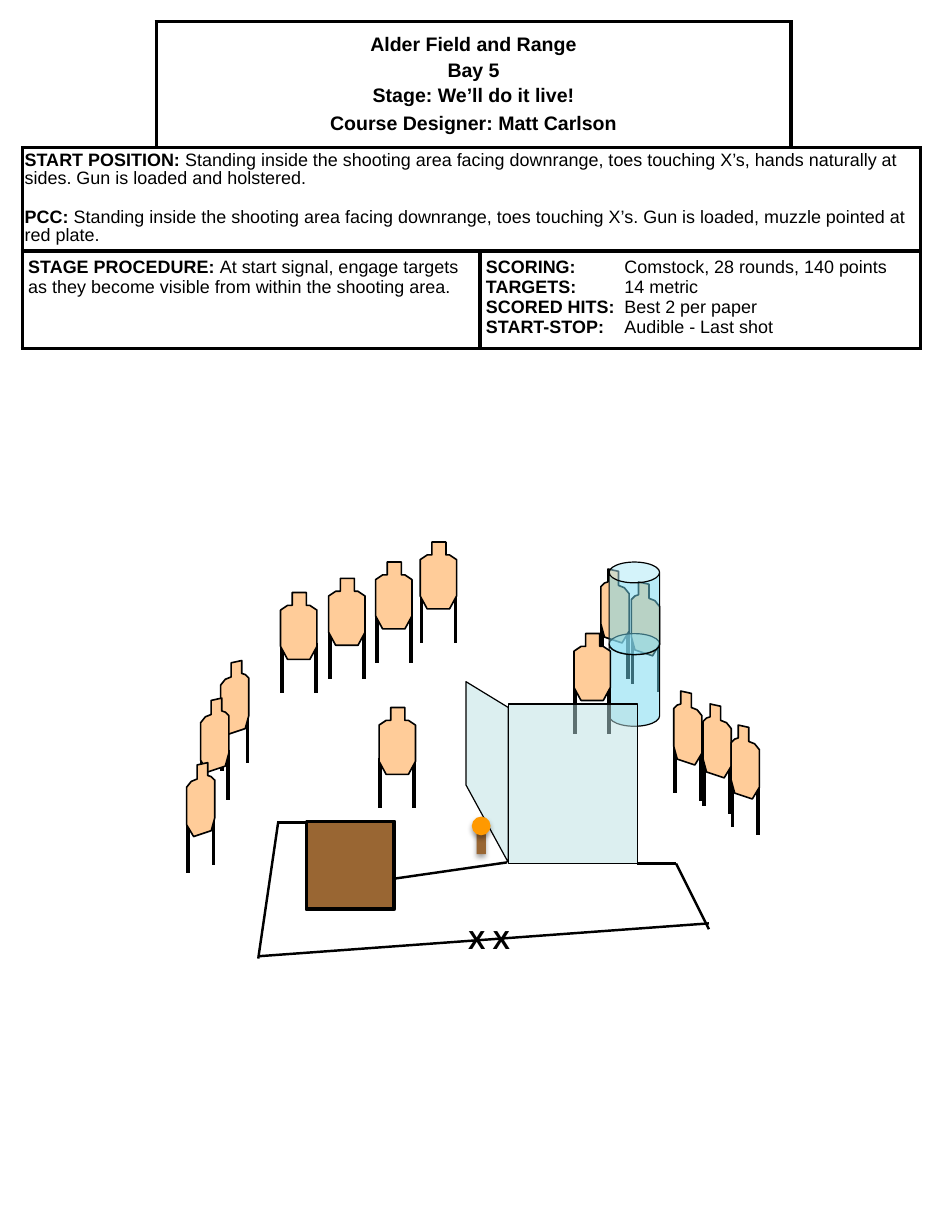
from dataclasses import dataclass

import pptx
import pptx.dml.color
import pptx.enum.shapes
import pptx.enum.text
import pptx.oxml
import pptx.oxml.ns
import pptx.util
from lxml import etree

PX = 9144  # EMU per px, 100 px to the inch
FONT = "Arial"
BLACK, WHITE, SKIN, BROWN = "000000", "FFFFFF", "FFCC99", "996633"
ORANGE, GLASS, BARREL = "FF9900", "BBE0E3", "73D9F1"
SHAPE = pptx.enum.shapes.MSO_SHAPE
qn = pptx.oxml.ns.qn

Points = list[tuple[int, int]]


@dataclass(frozen=True)
class TargetStyle:
    outline: Points
    posts: Points  # x and top of each leg


@dataclass(frozen=True)
class Target:
    x: int
    y: int
    style: TargetStyle


@dataclass(frozen=True)
class Block:
    row: int
    col: int
    span: int
    paras: list[list[tuple[str, bool]]]
    size: int = 11
    inset: tuple[int, int] = (5, 5)
    gaps: tuple[int, ...] = (0, 0, 0, 0)
    spacing: float = 1.0
    centred: bool = False
    tab: int = 0


POST_H = 43
LEFT = TargetStyle([(9, 2), (18, 0), (18, 11), (21, 12), (24, 15), (24, 47), (21, 58),
                    (6, 63), (0, 53), (0, 21), (4, 16), (9, 14)], [(1, 51), (23, 44)])
RIGHT = TargetStyle([(24 - x, y) for x, y in LEFT.outline], [(24 - x, y) for x, y in LEFT.posts])
FRONT = TargetStyle([(10, 0), (22, 0), (22, 11), (25, 11), (31, 15), (31, 46), (25, 57),
                     (6, 57), (0, 46), (0, 15), (6, 11), (10, 11)], [(1, 43), (30, 43)])

BACK_TARGETS = [Target(188, 563, LEFT), Target(171, 595, LEFT),
                Target(538, 496, RIGHT), Target(512, 485, RIGHT)]
NEAR_TARGETS = [Target(574, 589, RIGHT), Target(599, 600, RIGHT), Target(623, 618, RIGHT),
                Target(489, 540, FRONT), Target(159, 650, LEFT), Target(323, 603, FRONT),
                Target(358, 462, FRONT), Target(320, 479, FRONT), Target(239, 505, FRONT),
                Target(280, 493, FRONT)]
AREA_LINES = [(237, 701, 220, 817), (220, 815, 604, 787), (236, 701, 261, 701),
              (604, 792, 576, 736), (335, 749, 432, 735), (543, 736, 576, 736)]
COLS, ROWS = [114, 276, 265, 110], [108, 88, 83]
BLOCKS = [
    Block(0, 1, 2, [[("Alder Field and Range", True)], [("Bay 5", True)],
                    [("Stage: We’ll do it live!", True)],
                    [("Course Designer: Matt Carlson", True)]],
          size=12, gaps=(0, 2, 2, 4), centred=True),
    Block(1, 0, 4, [[("START POSITION:", True),
                     (" Standing inside the shooting area facing downrange, toes touching X’s, "
                      "hands naturally at sides. Gun is loaded and holstered.", False)],
                    [("PCC:", True),
                     (" Standing inside the shooting area facing downrange, toes touching X’s. "
                      "Gun is loaded, muzzle pointed at red plate.", False)]],
          inset=(2, 4), gaps=(0, 13), spacing=0.9),
    Block(2, 0, 2, [[("STAGE PROCEDURE: ", True),
                     ("At start signal, engage targets as they become visible "
                      "from within the shooting area.", False)]]),
    Block(2, 2, 2, [[("SCORING:", True), ("\tComstock, 28 rounds, 140 points", False)],
                    [("TARGETS:", True), ("\t14 metric", False)],
                    [("SCORED HITS:", True), ("\tBest 2 per paper", False)],
                    [("START-STOP:", True), ("\tAudible - Last shot", False)]], tab=118),
]


def rgb(color: str) -> pptx.dml.color.RGBColor:
    return pptx.dml.color.RGBColor.from_string(color)


def paint(sp, fill: str, line: float = 0, alpha: int = 100) -> None:
    sp.shadow.inherit = False
    sp.fill.solid()
    sp.fill.fore_color.rgb = rgb(fill)
    if alpha < 100:
        clr = sp._element.spPr.find(qn("a:solidFill"))[0]
        etree.SubElement(clr, qn("a:alpha"), val=str(alpha * 1000))
    if line:
        sp.line.color.rgb = rgb(BLACK)
        sp.line.width = pptx.util.Pt(line)
    else:
        sp.line.fill.background()


def add_line(shapes, x1: int, y1: int, x2: int, y2: int, width: float) -> None:
    c = shapes.add_connector(pptx.enum.shapes.MSO_CONNECTOR.STRAIGHT,
                             x1 * PX, y1 * PX, x2 * PX, y2 * PX)
    c.line.color.rgb = rgb(BLACK)
    c.line.width = pptx.util.Pt(width)
    etree.SubElement(c._element.spPr, qn("a:effectLst"))


def add_outline(shapes, points: Points, fill: str, line: float, alpha: int = 100) -> None:
    fb = shapes.build_freeform(*points[0], scale=PX)
    fb.add_line_segments(points[1:], close=True)
    paint(fb.convert_to_shape(), fill, line, alpha)


def add_preset(shapes, kind, x: int, y: int, w: int, h: int, fill: str,
               line: float = 0, alpha: int = 100):
    sp = shapes.add_shape(kind, x * PX, y * PX, w * PX, h * PX)
    paint(sp, fill, line, alpha)
    return sp


def add_target(shapes, t: Target) -> None:
    group = shapes.add_group_shape().shapes
    for dx, dy in t.style.posts:
        add_line(group, t.x + dx, t.y + dy, t.x + dx, t.y + dy + POST_H, 2.25)
    add_outline(group, [(t.x + dx, t.y + dy) for dx, dy in t.style.outline], SKIN, 1)


def add_soft_shadow(sp) -> None:
    effects = sp._element.spPr.find(qn("a:effectLst"))
    shadow = etree.SubElement(effects, qn("a:outerShdw"), blurRad="40000", dist="23000",
                              dir="5400000", rotWithShape="0")
    clr = etree.SubElement(shadow, qn("a:srgbClr"), val=BLACK)
    etree.SubElement(clr, qn("a:alpha"), val="35000")


def style_run(r, size: int, bold: bool) -> None:
    r.font.name, r.font.size, r.font.bold = FONT, pptx.util.Pt(size), bold
    r.font.color.rgb = rgb(BLACK)


def set_borders(cell, sides: str) -> None:
    tc_pr = cell._tc.get_or_add_tcPr()
    for side in sides:
        ln = etree.SubElement(tc_pr, qn(f"a:ln{side}"), w=str(pptx.util.Pt(2.25)))
        fill = etree.SubElement(ln, qn("a:solidFill"))
        etree.SubElement(fill, qn("a:srgbClr"), val=BLACK)
    cell.fill.solid()
    cell.fill.fore_color.rgb = rgb(WHITE)


def fill_block(table, b: Block) -> None:
    cell, last = table.cell(b.row, b.col), b.col + b.span - 1
    cell.merge(table.cell(b.row, last))
    set_borders(cell, "LRTB")
    for col in range(b.col + 1, last + 1):
        set_borders(table.cell(b.row, col), "RTB" if col == last else "TB")
    cell.margin_left = cell.margin_right = b.inset[0] * PX
    cell.margin_top = cell.margin_bottom = b.inset[1] * PX
    if b.centred:
        cell.vertical_anchor = pptx.enum.text.MSO_ANCHOR.MIDDLE
    tf = cell.text_frame
    for i, runs in enumerate(b.paras):
        p = tf.add_paragraph() if i else tf.paragraphs[0]
        p.line_spacing = b.spacing
        if b.gaps[i]:
            p.space_before = pptx.util.Pt(b.gaps[i])
        if b.centred:
            p.alignment = pptx.enum.text.PP_ALIGN.CENTER
        if b.tab:
            tabs = etree.SubElement(p._p.get_or_add_pPr(), qn("a:tabLst"))
            etree.SubElement(tabs, qn("a:tab"), pos=str(b.tab * PX), algn="l")
        for text, bold in runs:
            r = p.add_run()
            r.text = text
            style_run(r, b.size, bold)


def add_briefing(shapes) -> None:
    frame = shapes.add_table(len(ROWS), len(COLS), 19 * PX, 18 * PX,
                             sum(COLS) * PX, sum(ROWS) * PX)
    table = frame.table
    table.first_row = table.horz_banding = False
    for col, width in zip(table.columns, COLS):
        col.width = width * PX
    for row, height in zip(table.rows, ROWS):
        row.height = height * PX
    set_borders(table.cell(0, 0), "RB")
    set_borders(table.cell(0, 3), "LB")
    for b in BLOCKS:
        fill_block(table, b)


def main() -> None:
    prs = pptx.Presentation()
    prs.slide_width, prs.slide_height = 800 * PX, 1050 * PX
    shapes = prs.slides.add_slide(prs.slide_layouts[6]).shapes

    # Rear targets behind the stacked barrels
    for t in BACK_TARGETS:
        add_target(shapes, t)
    for y in (540, 479):
        can = add_preset(shapes, SHAPE.CAN, 519, y, 43, 79, BARREL, 0.75, 50)
        can.adjustments[0] = 0.413

    # Shooting area and solid prop
    for line in AREA_LINES:
        add_line(shapes, *line, 1.5)
    add_preset(shapes, SHAPE.RECTANGLE, 261, 700, 75, 75, BROWN, 2.25)

    # Stage briefing
    add_briefing(shapes)

    # See-through walls and remaining targets
    add_outline(shapes, [(397, 669), (433, 735), (433, 603), (397, 581)], GLASS, 0.75, 50)
    for t in NEAR_TARGETS:
        add_target(shapes, t)
    add_outline(shapes, [(543, 736), (433, 736), (433, 600), (543, 600)], GLASS, 0.75, 50)

    # Start marks
    tf = shapes.add_textbox(389 * PX, 782 * PX, 58 * PX, 37 * PX).text_frame
    tf.word_wrap = False
    tf.text = "X X"
    style_run(tf.paragraphs[0].runs[0], 16, True)

    # Plate on its stand
    plate = shapes.add_group_shape().shapes
    add_soft_shadow(add_preset(plate, SHAPE.RECTANGLE, 406, 706, 8, 22, BROWN))
    add_soft_shadow(add_preset(plate, SHAPE.OVAL, 402, 696, 16, 16, ORANGE))

    prs.save("out.pptx")


if __name__ == "__main__":
    main()
